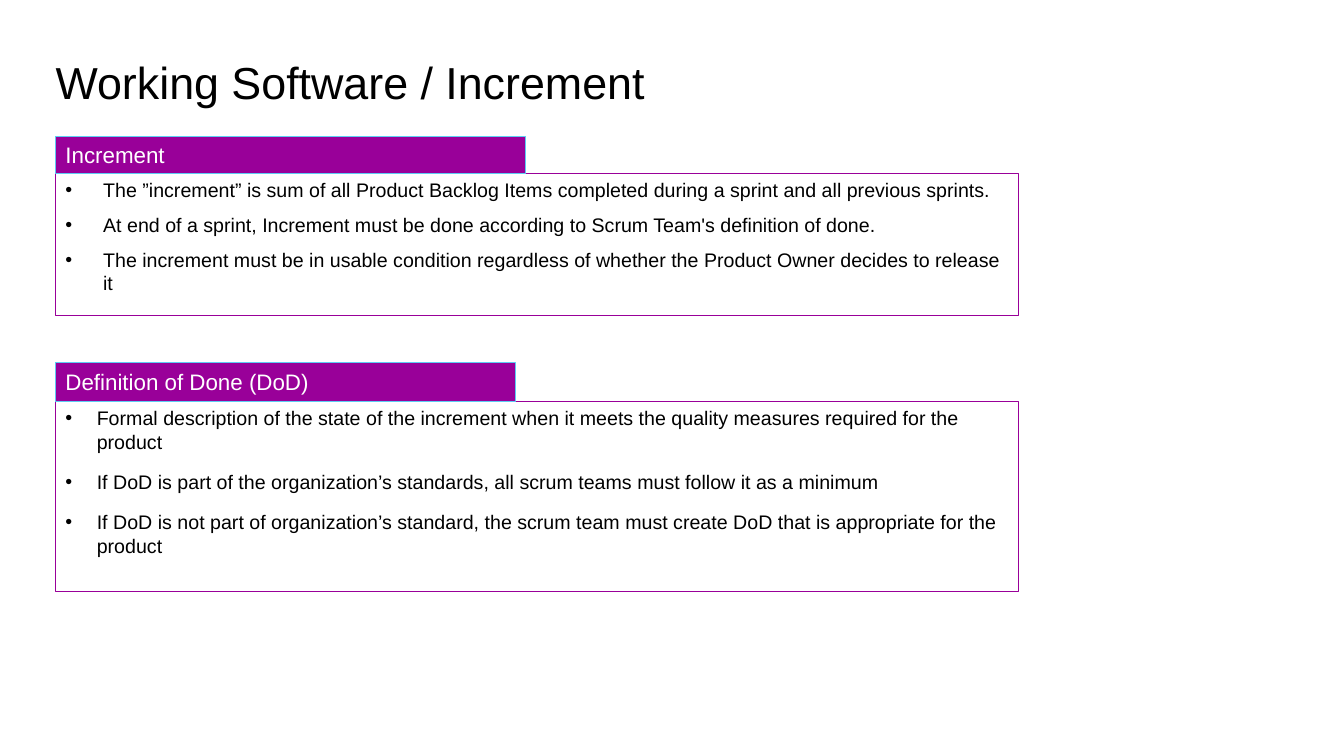
from lxml import etree
from pptx import Presentation
from pptx.dml.color import RGBColor
from pptx.enum.shapes import MSO_SHAPE
from pptx.enum.text import MSO_ANCHOR, PP_ALIGN
from pptx.oxml.ns import qn
from pptx.util import Cm, Pt

RECTANGLE = MSO_SHAPE.RECTANGLE
TOP, MIDDLE = MSO_ANCHOR.TOP, MSO_ANCHOR.MIDDLE
LEFT = PP_ALIGN.LEFT

COLORS = {"text": "000000", "accent": "990099", "header_text": "FFFFFF", "header_line": "5ECCF3"}
TITLE_ONLY = 5
MARGIN = 1.4
BODY_WIDTH = 24.26

SECTIONS = [
    {
        "heading": "Increment",
        "top": 3.43,
        "header_size": (11.84, 0.94),
        "body_height": 3.58,
        "indent": 0.95,
        "spacing": 4,
        "bullets": [
            "The ”increment” is sum of all Product Backlog Items completed during a sprint and all previous sprints.",
            "At end of a sprint, Increment must be done according to Scrum Team's definition of done.",
            "The increment must be in usable condition regardless of whether the Product Owner decides to release it",
        ],
    },
    {
        "heading": "Definition of Done (DoD)",
        "top": 9.14,
        "header_size": (11.58, 0.97),
        "body_height": 4.8,
        "indent": 0.79,
        "spacing": 6,
        "bullets": [
            "Formal description of the state of the increment when it meets the quality measures required for the product",
            "If DoD is part of the organization’s standards, all scrum teams must follow it as a minimum",
            "If DoD is not part of organization’s standard, the scrum team must create DoD that is appropriate for the product",
        ],
    },
]


class SlideBuilder:
    font_name = "Arial"

    def __init__(self, presentation):
        self.slide = presentation.slides.add_slide(presentation.slide_layouts[TITLE_ONLY])

    def color(self, name):
        return RGBColor.from_string(COLORS[name])

    def format(self, paragraph, size, color):
        paragraph.alignment = LEFT
        paragraph.font.name = self.font_name
        paragraph.font.size = Pt(size)
        paragraph.font.color.rgb = self.color(color)

    def title(self, text):
        shape = self.slide.shapes.title
        shape.left, shape.top, shape.width, shape.height = Cm(MARGIN), Cm(1.57), Cm(28.96), Cm(1.17)
        frame = shape.text_frame
        frame.margin_left = frame.margin_right = frame.margin_top = frame.margin_bottom = 0
        frame.vertical_anchor = MIDDLE
        frame.text = text
        paragraph = frame.paragraphs[0]
        paragraph.line_spacing = 0.84
        self.format(paragraph, 32, "text")

    def box(self, top, width, height, line, line_width, anchor):
        shape = self.slide.shapes.add_shape(RECTANGLE, Cm(MARGIN), Cm(top), Cm(width), Cm(height))
        shape.shadow.inherit = False
        shape.fill.background()
        shape.line.color.rgb = self.color(line)
        shape.line.width = Pt(line_width)
        shape.text_frame.word_wrap = True
        shape.text_frame.vertical_anchor = anchor
        return shape

    def header(self, text, top, width, height):
        shape = self.box(top, width, height, "header_line", 0.5, MIDDLE)
        shape.fill.solid()
        shape.fill.fore_color.rgb = self.color("accent")
        shape.text_frame.text = text
        self.format(shape.text_frame.paragraphs[0], 16, "header_text")

    def bullet_box(self, bullets, top, height, indent, spacing):
        shape = self.box(top, BODY_WIDTH, height, "accent", 0.75, TOP)
        shape.text_frame.text = "\n".join(bullets)
        for index, paragraph in enumerate(shape.text_frame.paragraphs):
            properties = paragraph._p.get_or_add_pPr()
            properties.set("marL", str(Cm(indent)))
            properties.set("indent", str(-Cm(indent)))
            etree.SubElement(properties, qn("a:buFont")).set("typeface", self.font_name)
            etree.SubElement(properties, qn("a:buChar")).set("char", "•")
            paragraph.space_before = Pt(spacing if index else 0)
            paragraph.space_after = Pt(spacing)
            self.format(paragraph, 14, "text")

    def section(self, section):
        width, height = section["header_size"]
        self.bullet_box(section["bullets"], section["top"] + height, section["body_height"],
                        section["indent"], section["spacing"])
        self.header(section["heading"], section["top"], width, height)


def main():
    presentation = Presentation()
    presentation.slide_width = Cm(33.87)
    presentation.slide_height = Cm(19.05)
    builder = SlideBuilder(presentation)
    builder.title("Working Software / Increment")
    for section in SECTIONS:
        builder.section(section)
    presentation.save("out.pptx")


if __name__ == "__main__":
    main()
